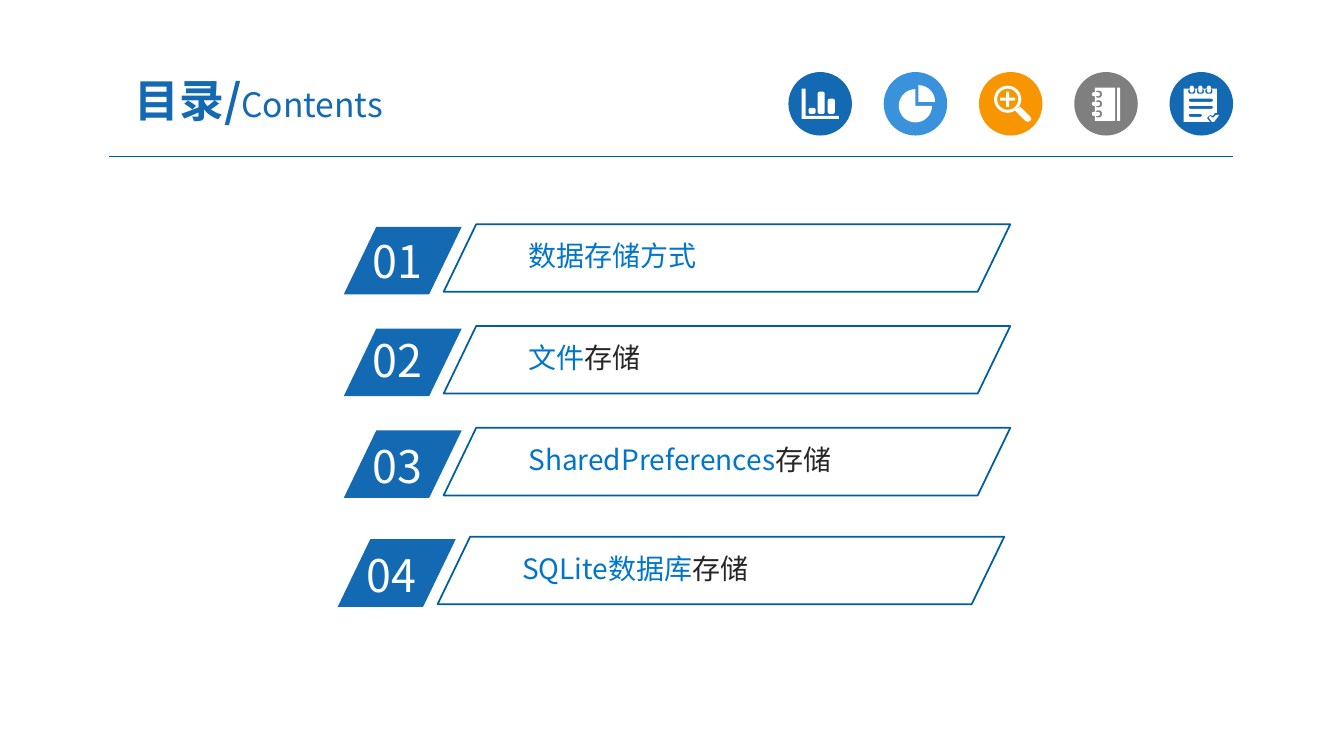
"""Build a contents slide with four numbered entries and a row of round icons."""
import math
from lxml import etree
from pptx import Presentation, util as u
from pptx.dml.color import RGBColor
from pptx.enum import shapes, text
from pptx.oxml import ns

FONT = "Noto Sans CJK SC"
BLUE, SKY, ORANGE, GRAY, WHITE = "1369B2", "3992DB", "F79600", "7F7F7F", "FFFFFF"
LINK, INK, EDGE = "0075CC", "262626", "005DA2"
KIND = shapes.MSO_SHAPE

deck = Presentation()
deck.slide_width, deck.slide_height = u.Inches(13.33), u.Inches(7.5)
slide = deck.slides.add_slide(deck.slide_layouts[6])
canvas = slide.shapes


def paint(shape, fill=None, edge=None):
    shape.shadow.inherit = False
    for target, tone in ((shape.fill, fill), (shape.line.fill, edge)):
        if tone:
            target.solid()
            target.fore_color.rgb = RGBColor.from_string(tone)
        else:
            target.background()
    if edge:
        shape.line.width = u.Pt(1.25)
    return shape


def rounded(left, top, width, height, radius):
    """Return the outline of a box whose corners are arcs."""
    right, bottom = left + width - radius, top + height - radius
    centres = [(right, bottom), (left + radius, bottom),
               (left + radius, top + radius), (right, top + radius)]
    return [(x + radius * math.cos(math.radians(90 * corner + step)),
             y + radius * math.sin(math.radians(90 * corner + step)))
            for corner, (x, y) in enumerate(centres) for step in range(0, 91, 15)]


rule = canvas.add_connector(shapes.MSO_CONNECTOR.STRAIGHT,
                            u.Inches(1.08), u.Inches(1.55), u.Inches(12.23), u.Inches(1.55))
rule.line.color.rgb = RGBColor.from_string("005B9E")
rule.line.width = u.Pt(0.75)
etree.SubElement(rule._element.spPr, ns.qn("a:effectLst"))

bar_icon = [
    [(7.95, 0.88), (7.99, 0.88), (7.99, 1.15), (8.32, 1.15), (8.32, 1.18), (7.95, 1.18)],
    rounded(8.02, 1.07, 0.07, 0.06, 0.02),
    rounded(8.11, 0.91, 0.07, 0.22, 0.02),
    rounded(8.21, 0.98, 0.07, 0.15, 0.02),
]

pie_icon = []
for x, y, first, last in ((9.08, 1.05, 0, 270), (9.11, 1.01, 270, 360)):
    arc = [math.radians(angle) for angle in range(first, last + 1, 10)]
    pie_icon.append([(x, y)] + [(x + 0.165 * math.cos(a), y + 0.165 * math.sin(a)) for a in arc])

lens_icon = [
    rounded(9.86, 0.85, 0.27, 0.27, 0.135),
    rounded(9.89, 0.88, 0.21, 0.21, 0.105),
    [(9.92, 0.97), (9.98, 0.97), (9.98, 0.91), (10.01, 0.91), (10.01, 0.97), (10.07, 0.97),
     (10.07, 1), (10.01, 1), (10.01, 1.06), (9.98, 1.06), (9.98, 1), (9.92, 1)],
    [(10.07, 1.1), (10.12, 1.06), (10.21, 1.15), (10.23, 1.18),
     (10.22, 1.2), (10.19, 1.21), (10.17, 1.2)],
]

notebook_icon = [rounded(10.86, 0.87, 0.2, 0.33, 0), rounded(11.08, 0.87, 0.03, 0.33, 0)]
for ring in (0.935, 1.03, 1.13):
    notebook_icon += [rounded(10.86, ring - 0.035, 0.07, 0.07, 0.03),
                      rounded(10.83, ring - 0.02, 0.08, 0.04, 0.02)]

notepad_icon = [
    [(11.74, 0.88), (12.07, 0.88), (12.07, 1.12), (12.05, 1.12), (12.03, 1.15),
     (12, 1.14), (11.97, 1.17), (12, 1.21), (11.74, 1.21)],
    [(11.99, 1.17), (12, 1.15), (12.03, 1.17), (12.06, 1.14),
     (12.09, 1.14), (12.08, 1.16), (12.04, 1.21), (12.02, 1.21)],
]
for top, width in ((0.98, 0.24), (1.05, 0.24), (1.13, 0.13)):
    notepad_icon.append(rounded(11.79, top, width, 0.03, 0.015))
for ring in (11.82, 11.905, 11.99):
    notepad_icon += [rounded(ring - 0.035, 0.88, 0.07, 0.05, 0.02),
                     rounded(ring - 0.02, 0.85, 0.04, 0.07, 0.02)]

badges = [(BLUE, bar_icon), (SKY, pie_icon), (ORANGE, lens_icon),
          (GRAY, notebook_icon), (BLUE, notepad_icon)]
for column, (tone, icon) in enumerate(badges):
    place = (7.82 + 0.945 * column, 0.715, 0.63, 0.63)
    paint(canvas.add_shape(KIND.OVAL, *map(u.Inches, place)), tone)
    contours = [[(u.Inches(x), u.Inches(y)) for x, y in contour] for contour in icon]
    drawing = canvas.build_freeform(*contours[0][0])
    for contour in contours:
        drawing.move_to(*contour[0])
        drawing.add_line_segments(contour[1:], close=True)
    paint(drawing.convert_to_shape(), WHITE)

entries = [
    ("01", 3.41, 2.25, 2.27, 4.12, "数据存储方式", ""),
    ("02", 3.41, 3.26, 3.25, 4.57, "文件", "存储"),
    ("03", 3.41, 4.27, 4.3, 4.12, "SharedPreferences", "存储"),
    ("04", 3.35, 5.35, 5.38, 4.12, "SQLite数据库", "存储"),
]
captions = [((0.92, 0.63, 3.29, 0.72), (0.13, 0.07),
             [("目录/", 32, BLUE, True), ("Contents", 24, BLUE, False)])]
for number, left, top, number_top, width, topic, ending in entries:
    tab = (left, top, 1.17, 0.67)
    panel = (left + 0.99, top - 0.025, 5.62, 0.67)
    for place, fill, edge in ((tab, BLUE, None), (panel, None, EDGE)):
        slant = canvas.add_shape(KIND.PARALLELOGRAM, *map(u.Inches, place))
        paint(slant, fill, edge).adjustments[0] = 0.482
    captions += [
        ((left + 0.19, number_top, 1.12, 0.64), (0.1, 0.05), [(number, 32, WHITE, False)]),
        ((left + 1.76, top + 0.08, width, 0.41), (0.07, 0.04),
         [(topic, 20, LINK, False), (ending, 20, INK, False)]),
    ]

for place, (side, edge), runs in captions:
    frame = canvas.add_textbox(*map(u.Inches, place)).text_frame
    frame.word_wrap = True
    frame.margin_left = frame.margin_right = u.Inches(side)
    frame.margin_top = frame.margin_bottom = u.Inches(edge)
    line = frame.paragraphs[0]
    if runs[0][0] == "目录/":
        frame.vertical_anchor = text.MSO_ANCHOR.MIDDLE
        line.alignment = text.PP_ALIGN.CENTER
        line.space_before = u.Pt(6.4)
    else:
        frame.auto_size = text.MSO_AUTO_SIZE.SHAPE_TO_FIT_TEXT
    for words, size, tone, bold in runs:
        if words:
            run = line.add_run()
            run.text = words
            run.font.size, run.font.bold, run.font.name = u.Pt(size), bold, FONT
            run.font.color.rgb = RGBColor.from_string(tone)
            etree.SubElement(run.font._element, ns.qn("a:ea"), typeface=FONT)

deck.save("out.pptx")
